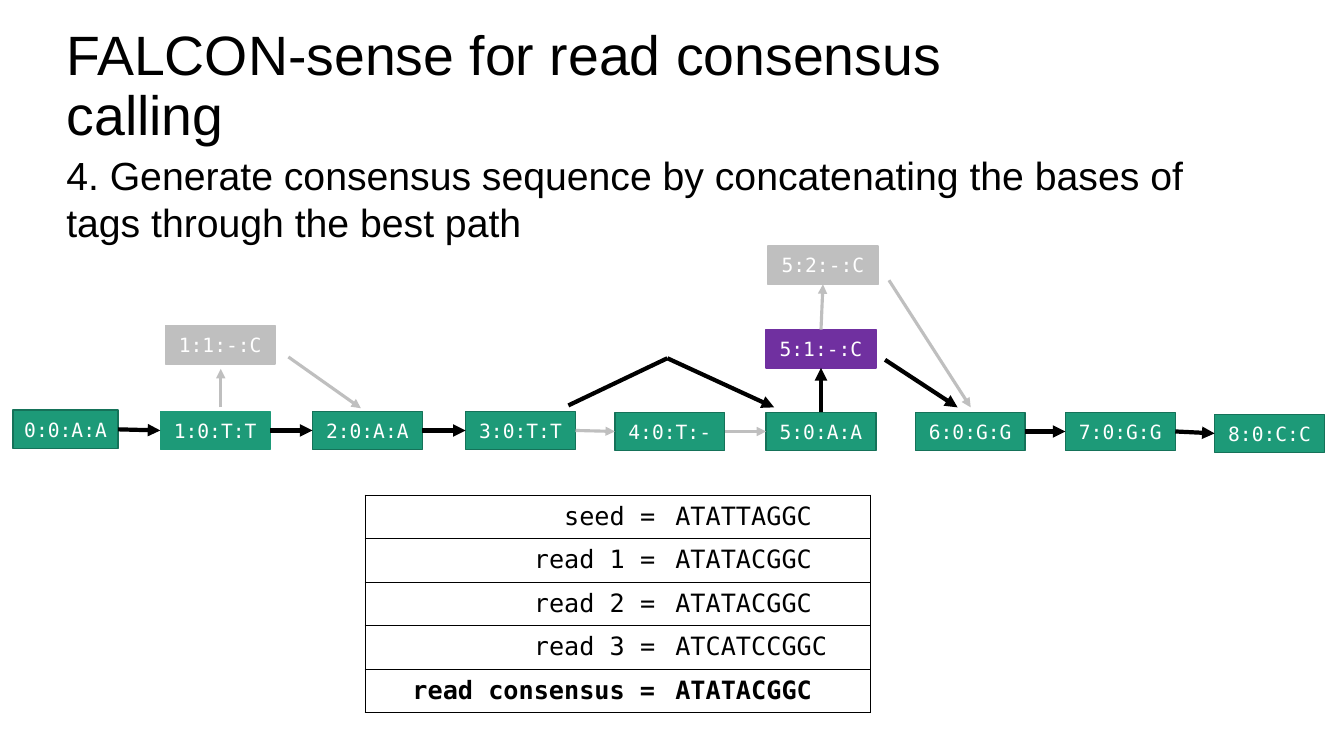
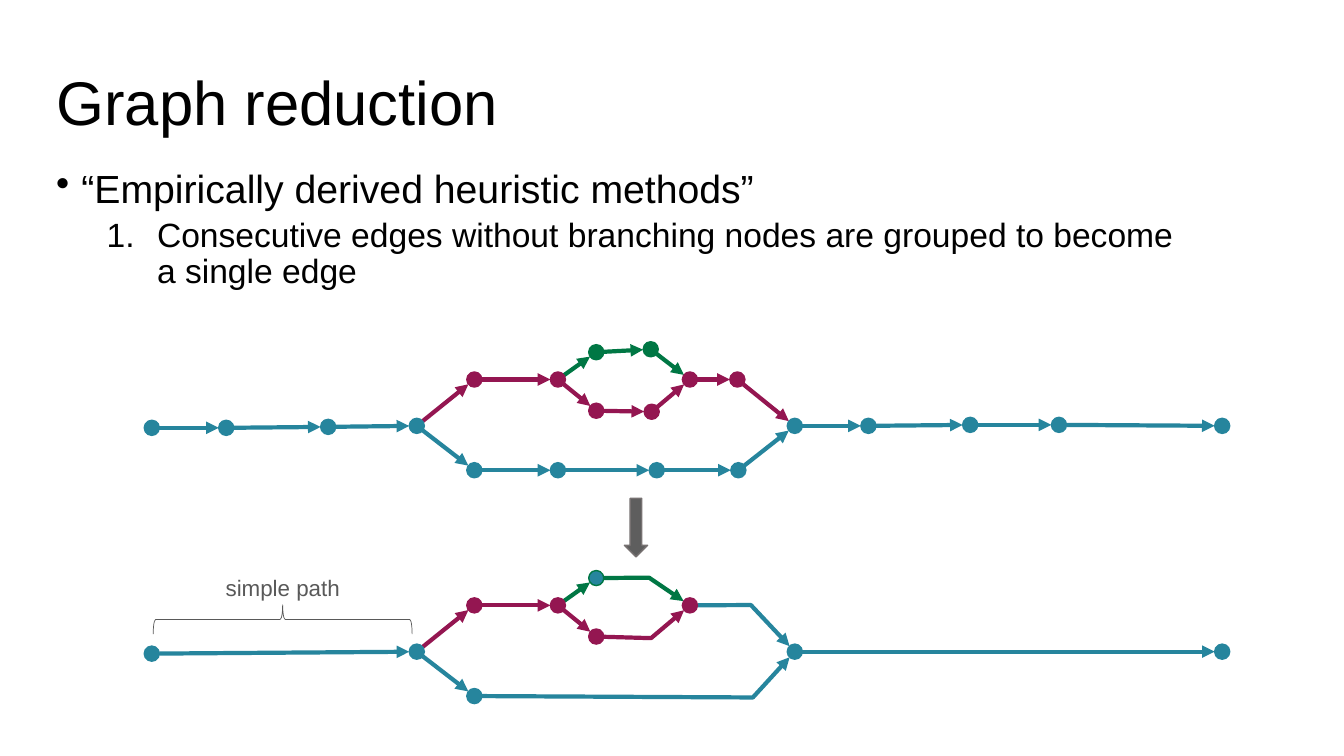
import math
from itertools import pairwise

from lxml import etree
from pptx import Presentation
from pptx import util as u
from pptx.dml.color import RGBColor
from pptx.enum import shapes, text
from pptx.oxml.ns import qn

BLACK = RGBColor(0x00, 0x00, 0x00)
WHITE = RGBColor(0xFF, 0xFF, 0xFF)
GREY = RGBColor(0xBF, 0xBF, 0xBF)
MID_GREY = RGBColor(0x5E, 0x5E, 0x5E)
WARM_GREY = RGBColor(0x76, 0x71, 0x71)
DARK_GREY = RGBColor(0x59, 0x59, 0x59)
MINT = RGBColor(0x1D, 0x9A, 0x78)
MINT_EDGE = RGBColor(0x15, 0x72, 0x59)
VIOLET = RGBColor(0x70, 0x30, 0xA0)
TEAL = RGBColor(0x26, 0x85, 0x9D)
PLUM = RGBColor(0x94, 0x16, 0x51)
GREEN = RGBColor(0x00, 0x77, 0x44)

SANS, MONO = "Arial", "DejaVu Sans Mono"
SHAPE, ALIGN = shapes.MSO_SHAPE, text.PP_ALIGN
MIDDLE = text.MSO_ANCHOR.MIDDLE
TOP, LEFT, BOTTOM, RIGHT = range(4)
RADIUS = 5.4


def pts(*values):
    return [u.Pt(v) for v in values]


def write(tf, content, size=18, color=BLACK, font=SANS, bold=False, align=ALIGN.LEFT,
          spacing=None, before=0, bullet=None, margin=0, indent=0):
    """Add a formatted paragraph; bullet is a (tag, attributes) pair."""
    p = tf.paragraphs[0] if not tf.text else tf.add_paragraph()
    p.alignment, p.line_spacing, p.space_before = align, spacing, u.Pt(before)
    if bullet:
        pPr = p._p.get_or_add_pPr()
        pPr.set("marL", str(u.Pt(margin)))
        pPr.set("indent", str(u.Pt(indent)))
        etree.SubElement(pPr, qn(bullet[0]), bullet[1])
    r = p.add_run()
    r.text = content
    r.font.size, r.font.name, r.font.bold = u.Pt(size), font, bold
    r.font.color.rgb = color


class Deck:
    def __init__(self):
        self.prs = Presentation()
        self.prs.slide_width, self.prs.slide_height = pts(960, 540)
        self.s = None

    def slide(self, title, box, size):
        self.s = self.prs.slides.add_slide(self.prs.slide_layouts[5])
        sp = self.s.shapes.title
        sp.left, sp.top, sp.width, sp.height = pts(*box)
        tf = sp.text_frame
        tf.auto_size, tf.vertical_anchor = text.MSO_AUTO_SIZE.NONE, MIDDLE
        write(tf, title, size=size, spacing=0.9)

    def textbox(self, box, wrap=True):
        tf = self.s.shapes.add_textbox(*pts(*box)).text_frame
        tf.word_wrap = wrap
        return tf

    def shape(self, kind, box, fill, line, width=1):
        sp = self.s.shapes.add_shape(kind, *pts(*box))
        sp.shadow.inherit = False
        if fill is None:
            sp.fill.background()
        else:
            sp.fill.solid()
            sp.fill.fore_color.rgb = fill
        self.stroke(sp, line, width)
        return sp

    def stroke(self, sp, color, width, arrow=False):
        sp.line.color.rgb, sp.line.width = color, u.Pt(width)
        if arrow:
            etree.SubElement(sp.line._get_or_add_ln(), qn("a:tailEnd"), type="triangle")

    def node(self, label, x, y, fill, line, width=78.5):
        sp = self.shape(SHAPE.RECTANGLE, (x, y, width, 27.4), fill, line)
        tf = sp.text_frame
        tf.vertical_anchor, tf.word_wrap = MIDDLE, False
        write(tf, label, size=14, color=WHITE, font=MONO, align=ALIGN.CENTER)
        return sp

    def line(self, start, end, color, width=3, arrow=True):
        sp = self.s.shapes.add_connector(shapes.MSO_CONNECTOR.STRAIGHT, *pts(*start, *end))
        self.stroke(sp, color, width, arrow)
        etree.SubElement(sp._element.spPr, qn("a:effectLst"))
        return sp

    def join(self, a, side_a, b, side_b, color, width):
        sp = self.line((0, 0), (0, 0), color, width)
        sp.begin_connect(a, side_a)
        sp.end_connect(b, side_b)

    def dot(self, centre, fill, line):
        x, y = centre
        self.shape(SHAPE.OVAL, (x - RADIUS, y - RADIUS, 2 * RADIUS, 2 * RADIUS), fill, line)

    def edge(self, a, b, color, bend=None):
        """Arrow from the rim of dot a to the rim of dot b, with an optional bend."""
        start, end = rim(a, bend or b), rim(b, bend or a)
        if bend is None:
            self.line(start, end, color)
            return
        path = self.s.shapes.build_freeform(*pts(*start), scale=1.0)
        path.add_line_segments([pts(*bend), pts(*end)], close=False)
        sp = path.convert_to_shape()
        sp.shadow.inherit = False
        sp.fill.background()
        self.stroke(sp, color, 3, arrow=True)

    def table(self, rows, box, widths):
        x, y, w, h = box
        frame = self.s.shapes.add_table(len(rows), len(widths), *pts(x, y, w, h))
        t = frame.table
        t.first_row = t.horz_banding = False
        for col, width in zip(t.columns, widths):
            col.width = u.Pt(width)
        for i, row in enumerate(rows):
            t.rows[i].height = u.Pt(h / len(rows))
            for j, value in enumerate(row):
                c = t.cell(i, j)
                c.vertical_anchor = MIDDLE
                cell_borders(c, hidden="R" if j == 0 else "L")
                c.fill.background()
                write(c.text_frame, value, font=MONO, bold=i == len(rows) - 1,
                      align=ALIGN.RIGHT if j == 0 else ALIGN.LEFT)


def rim(centre, toward):
    (x, y), (tx, ty) = centre, toward
    k = RADIUS / math.dist(centre, toward)
    return x + k * (tx - x), y + k * (ty - y)


def cell_borders(cell, hidden):
    tcPr = cell._tc.get_or_add_tcPr()
    for side in "LRTB":
        ln = etree.SubElement(tcPr, qn("a:ln" + side), w=str(u.Pt(0.5)))
        if side == hidden:
            etree.SubElement(ln, qn("a:noFill"))
        else:
            fill = etree.SubElement(ln, qn("a:solidFill"))
            etree.SubElement(fill, qn("a:srgbClr"), val=str(BLACK))


def consensus_slide(d):
    d.slide("FALCON-sense for read consensus calling", (40.3, 20.9, 747.4, 83.5), 39.6)
    write(d.textbox((40.3, 104.4, 828, 80)),
          "4. Generate consensus sequence by concatenating the bases of "
          "tags through the best path", size=28)
    d.table([("seed =", "ATATTAGGC"), ("read 1 =", "ATATACGGC"), ("read 2 =", "ATATACGGC"),
             ("read 3 =", "ATCATCCGGC"), ("read consensus =", "ATATACGGC")],
            (260.6, 353.5, 360.8, 155.5), (214.6, 146.2))

    # Tags: main row, then insertions above it
    main = [("0:0:A:A", 9.4, 293), ("1:0:T:T", 114.5, 293.8), ("2:0:A:A", 223.2, 293.8),
            ("3:0:T:T", 332.6, 293.8), ("4:0:T:-", 439.2, 294.5), ("5:0:A:A", 547.2, 294.5),
            ("6:0:G:G", 653.8, 294.5), ("7:0:G:G", 761, 294.5), ("8:0:C:C", 867.6, 295.9)]
    row = [d.node(label, x, y, MINT, MINT if i == 1 else MINT_EDGE, 75 if i == 0 else 78.5)
           for i, (label, x, y) in enumerate(main)]
    d.node("1:1:-:C", 118.1, 232.6, GREY, GREY)
    first = d.node("5:1:-:C", 547.2, 235.4, VIOLET, VIOLET)
    second = d.node("5:2:-:C", 548.6, 175.7, GREY, GREY)

    # Joined arrows; the best path is black
    for i, (a, b) in enumerate(pairwise(row)):
        if i != 5:
            skipped = i in (3, 4)
            d.join(a, RIGHT, b, LEFT, GREY if skipped else BLACK, 2.25 if skipped else 3)
    d.join(row[5], TOP, first, BOTTOM, BLACK, 3)
    d.join(first, TOP, second, BOTTOM, GREY, 2.25)

    # Free arrows
    for start, end in [((157.7, 291), (157.7, 263.5)), ((206, 255), (257.8, 291.6)),
                       ((635, 200.2), (693.4, 291))]:
        d.line(start, end, GREY, 2.25)
    peak = (476.7, 255.9)
    d.line((406, 289.6), peak, BLACK, arrow=False)
    d.line(peak, (553, 291), BLACK)
    d.line((632.2, 257), (684, 291), BLACK)


# Graph dots by colour: w west, e east, l lower, u upper, b bubble, g green
DOTS = {
    TEAL: {"w1": (108.4, 305.6), "w2": (161.6, 305.6), "w3": (234.4, 304.9),
           "fork": (297.7, 304.2), "l1": (338.8, 335.9), "l2": (398.5, 335.9),
           "l3": (469.1, 335.9), "l4": (527.4, 335.9), "join": (567.7, 304.2),
           "e1": (620.3, 304.2), "e2": (693, 303.5), "e3": (756.4, 303.5),
           "e4": (873, 304.2)},
    PLUM: {"u1": (338.8, 271.1), "u2": (398.5, 271.1), "b1": (425.9, 293.4),
           "b2": (465.5, 294.1), "u3": (492.8, 271.1), "u4": (526.7, 271.1)},
    GREEN: {"g1": (425.9, 251.6), "g2": (464.8, 249.5)},
}
FULL = [(TEAL, "w1 w2 w3 fork l1 l2 l3 l4 join e1 e2 e3 e4"),
        (PLUM, "fork u1 u2 b1 b2 u3 u4 join"), (GREEN, "u2 g1 g2 u3")]
REDUCED = [(TEAL, "w1 fork l1"), (TEAL, "join e4"), (PLUM, "fork u1 u2 b1"), (GREEN, "u2 g1")]
BENT = [(GREEN, "g1", (463.7, 412.6), "u3"), (PLUM, "b1", (465.1, 455.8), "u3"),
        (TEAL, "u3", (536.4, 432.2), "join"), (TEAL, "l1", (537.8, 498.2), "join")]


def graph(d, chains, dy=0, bent=(), refilled=()):
    at = {n: (x, y + dy) for group in DOTS.values() for n, (x, y) in group.items()}
    used = {n for _, chain in chains for n in chain.split()} | {b[3] for b in bent}
    for color, chain in chains:
        for a, b in pairwise(chain.split()):
            d.edge(at[a], at[b], color)
    for color, a, bend, b in bent:
        d.edge(at[a], at[b], color, bend)
    for color, group in DOTS.items():
        for n in group:
            if n in used:
                d.dot(at[n], TEAL if n in refilled else color, color)


def reduction_slide(d):
    d.slide("Graph reduction", (33.1, 23, 828, 104.4), 44)
    tf = d.textbox((33.1, 117.4, 828, 130.3))
    write(tf, "“Empirically derived heuristic methods”", size=28, spacing=0.9,
          bullet=("a:buChar", {"char": "•"}), margin=18, indent=-18)
    write(tf, "Consecutive edges without branching nodes are grouped to become a single edge",
          size=24, spacing=0.9, before=5,
          bullet=("a:buAutoNum", {"type": "arabicPeriod"}), margin=72, indent=-36)

    # Graph before and after
    graph(d, FULL)
    graph(d, REDUCED, 161.3, BENT, refilled=("g1",))
    d.shape(SHAPE.DOWN_ARROW, (446, 356, 16.6, 41.8), MID_GREY, WARM_GREY)

    # Simple path label
    brace = d.shape(SHAPE.RIGHT_BRACE, (191.5, 349.9, 20.9, 185), None, DARK_GREY, 0.5)
    brace.rotation = 270
    write(d.textbox((154.1, 406.8, 98.6, 26.6), wrap=False), "simple path",
          size=16, color=DARK_GREY)


def main():
    d = Deck()
    consensus_slide(d)
    reduction_slide(d)
    d.prs.save("out.pptx")


if __name__ == "__main__":
    main()
